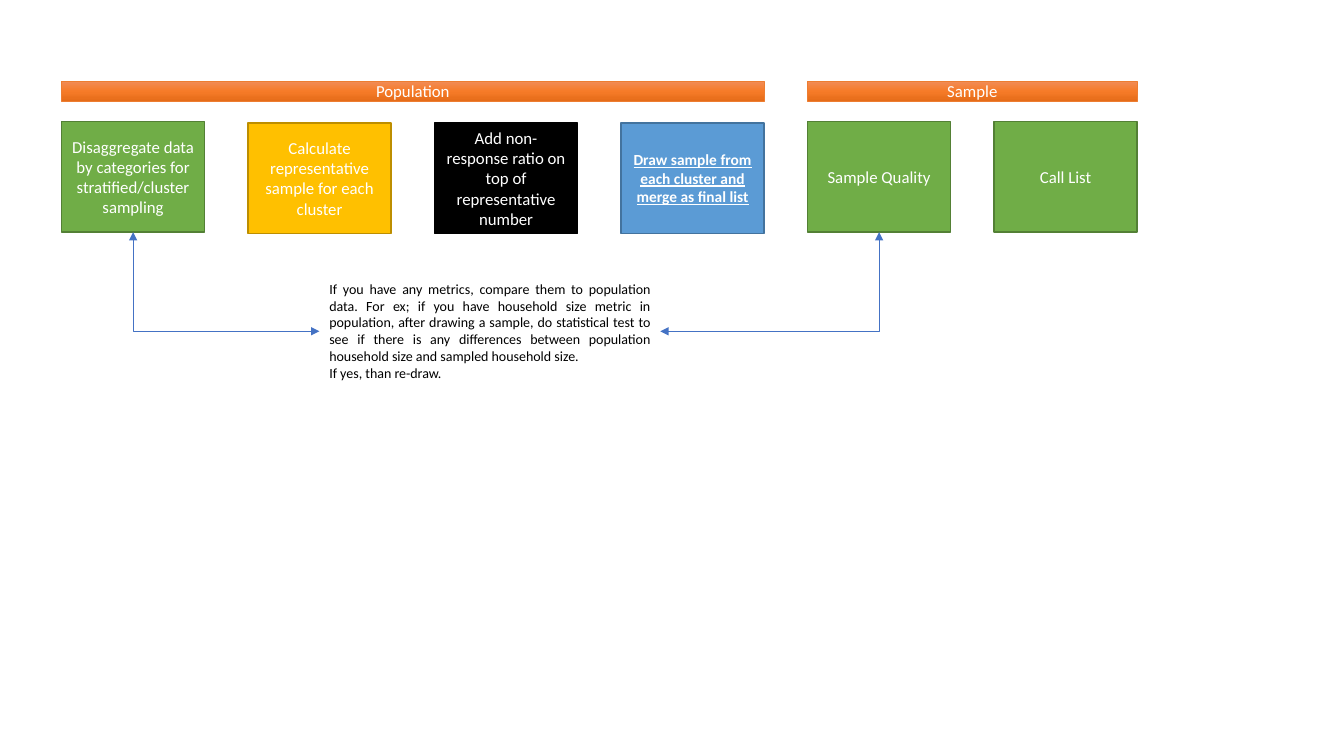
from copy import deepcopy

from lxml.etree import SubElement
from pptx import Presentation
from pptx.dml.color import RGBColor
from pptx.enum.shapes import MSO_CONNECTOR, MSO_SHAPE
from pptx.enum.text import MSO_ANCHOR, MSO_AUTO_SIZE, PP_ALIGN
from pptx.oxml.ns import qn
from pptx.util import Cm, Pt

RECTANGLE, ELBOW = MSO_SHAPE.RECTANGLE, MSO_CONNECTOR.ELBOW
CENTER, JUSTIFY = PP_ALIGN.CENTER, PP_ALIGN.JUSTIFY
MIDDLE, GROW = MSO_ANCHOR.MIDDLE, MSO_AUTO_SIZE.SHAPE_TO_FIT_TEXT
LEFT_SITE, BOTTOM_SITE, RIGHT_SITE = 1, 2, 3

GREEN, GREEN_EDGE = "70AD47", "538035"
WHITE, BLACK, ORANGE, BLUE = "FFFFFF", "000000", "ED7D31", "4472C4"
BAR_GRADIENT = [(0, "F18C57"), (0.5, "F67B28"), (1, "E56C19")]

PHASES = [("Population", 0, 3), ("Sample", 4, 5)]
STEPS = [
    ("Disaggregate data by categories for stratified/cluster sampling", GREEN, GREEN_EDGE, 3.07),
    ("Calculate representative sample for each cluster", "FFC000", "BD8E00", 3.1),
    ("Add non-response ratio on top of representative number", BLACK, BLACK, 3.1),
    ("Draw sample from each cluster and merge as final list", "5B9BD5", "43739E", 3.1),
    ("Sample Quality", GREEN, GREEN_EDGE, 3.07),
    ("Call List", GREEN, GREEN_EDGE, 3.07),
]
EMPHASIZED_STEP = 3
NOTE = [
    "If you have any metrics, compare them to population data. For ex; if you have "
    "household size metric in population, after drawing a sample, do statistical test "
    "to see if there is any differences between population household size and sampled "
    "household size.",
    "If yes, than re-draw.",
]
COMPARISONS = [(0, LEFT_SITE), (4, RIGHT_SITE)]

STEP_LEFT, STEP_PITCH, STEP_WIDTH, STEP_HEIGHT = 1.55, 4.7 + 0.035, 3.64, 2.78
STEP_PITCH = 4.73 - 0.03
STEP_WIDTH = 3.61
BAR_TOP, BAR_HEIGHT = 2.05, 0.5


def color(value):
    """Turn a hex string into a colour."""
    return RGBColor.from_string(value)


def step_left(index):
    """Return the left edge of a step in centimetres."""
    return STEP_LEFT + index * STEP_PITCH


def write(shape, lines, size, ink, alignment):
    """Put lines of text in a shape and format them."""
    frame = shape.text_frame
    frame.word_wrap = True
    frame.text = "\n".join(lines)
    for para in frame.paragraphs:
        para.alignment = alignment
        for span in para.runs:
            span.font.name = "Calibri"
            span.font.size = Pt(size)
            span.font.color.rgb = color(ink)


def add_box(page, label, left, top, width, height, edge, edge_width):
    """Add an outlined rectangle with a centred white label."""
    box = page.shapes.add_shape(RECTANGLE, Cm(left), Cm(top), Cm(width), Cm(height))
    box.shadow.inherit = False
    box.line.color.rgb = color(edge)
    box.line.width = Pt(edge_width)
    box.text_frame.vertical_anchor = MIDDLE
    write(box, [label], 12, WHITE, CENTER)
    return box


def fill_bar(bar):
    """Fill a phase bar with the top-to-bottom orange gradient."""
    bar.fill.gradient()
    bar.fill.gradient_angle = 270
    stop_list = bar._element.spPr.find(".//" + qn("a:gsLst"))
    stop_list.append(deepcopy(stop_list[0]))
    for stop, (position, tint) in zip(bar.fill.gradient_stops, BAR_GRADIENT):
        stop.position = position
        stop.color.rgb = color(tint)


def add_arrow(page, note, site, step):
    """Join a side of the note to the bottom of a step with a two-headed elbow."""
    arrow = page.shapes.add_connector(ELBOW, 0, 0, 0, 0)
    arrow.begin_connect(note, site)
    arrow.end_connect(step, BOTTOM_SITE)
    arrow.line.color.rgb = color(BLUE)
    arrow.line.width = Pt(0.5)
    properties = arrow._element.spPr
    properties.find(qn("a:prstGeom")).set("prst", "bentConnector2")
    for end in ("a:headEnd", "a:tailEnd"):
        SubElement(properties.find(qn("a:ln")), qn(end), type="triangle")
    SubElement(properties, qn("a:effectLst"))


deck = Presentation()
deck.slide_width, deck.slide_height = Cm(33.87), Cm(19.05)
page = deck.slides.add_slide(deck.slide_layouts[6])

for label, first, last in PHASES:
    width = step_left(last) + STEP_WIDTH - step_left(first)
    fill_bar(add_box(page, label, step_left(first), BAR_TOP, width, BAR_HEIGHT, ORANGE, 0.5))

steps = []
for index, (label, tint, edge, top) in enumerate(STEPS):
    step = add_box(page, label, step_left(index), top, STEP_WIDTH, STEP_HEIGHT, edge, 1)
    step.fill.solid()
    step.fill.fore_color.rgb = color(tint)
    steps.append(step)

emphasis = steps[EMPHASIZED_STEP].text_frame.paragraphs[0].runs[0].font
emphasis.size, emphasis.bold, emphasis.underline = Pt(11), True, True

note = page.shapes.add_textbox(Cm(8.05), Cm(6.94), Cm(8.59), Cm(2.82))
write(note, NOTE, 10, BLACK, JUSTIFY)
note.text_frame.auto_size = GROW

for index, site in COMPARISONS:
    add_arrow(page, note, site, steps[index])

deck.save("out.pptx")
